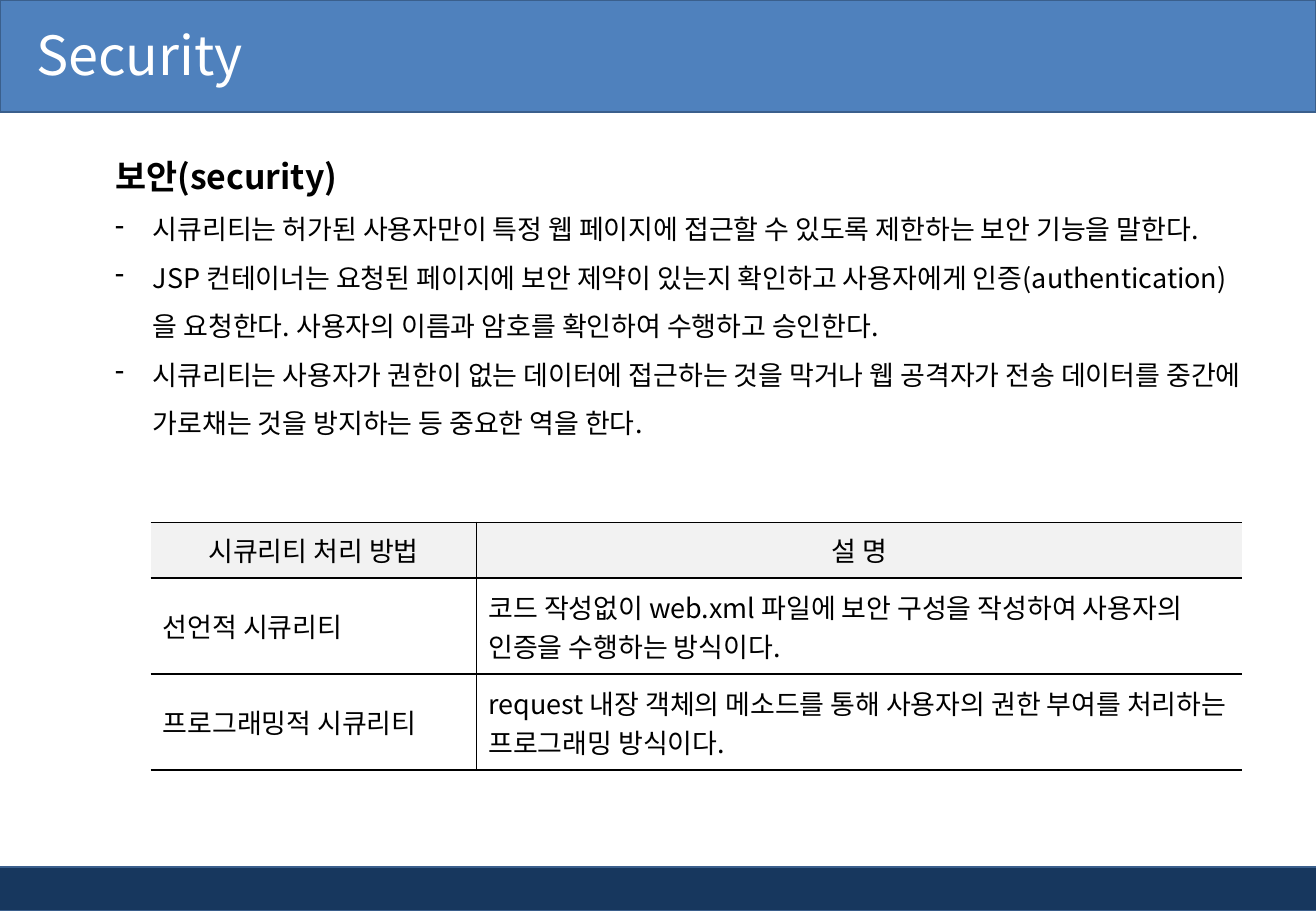
"""Build the Security slide: title bar, bulleted text, table and footer bar."""
import pptx
import pptx.dml.color
import pptx.enum.shapes
import pptx.enum.text
import pptx.oxml
import pptx.oxml.ns
import pptx.util
from lxml import etree

Inches = pptx.util.Inches
Pt = pptx.util.Pt
ALIGN = pptx.enum.text.PP_ALIGN
ANCHOR = pptx.enum.text.MSO_ANCHOR
qn = pptx.oxml.ns.qn

FONT = "Noto Sans CJK KR"
BLACK = "000000"
TITLE = "Security"
HEADING = "보안(security)"
BULLETS = [
    "시큐리티는 허가된 사용자만이 특정 웹 페이지에 접근할 수 있도록 제한하는 보안 기능을 말한다.",
    "JSP 컨테이너는 요청된 페이지에 보안 제약이 있는지 확인하고 사용자에게 인증(authentication)을 요청한다. "
    "사용자의 이름과 암호를 확인하여 수행하고 승인한다.",
    "시큐리티는 사용자가 권한이 없는 데이터에 접근하는 것을 막거나 웹 공격자가 전송 데이터를 "
    "중간에 가로채는 것을 방지하는 등 중요한 역을 한다.",
]
TABLE = [
    ("시큐리티 처리 방법", "설 명"),
    ("선언적 시큐리티", "코드 작성없이 web.xml 파일에 보안 구성을 작성하여 사용자의 인증을 수행하는 방식이다."),
    ("프로그래밍적 시큐리티", "request 내장 객체의 메소드를 통해 사용자의 권한 부여를 처리하는 프로그래밍 방식이다."),
]
COLUMN_WIDTHS = (2.68, 6.3)
ROW_HEIGHTS = (0.46, 0.79, 0.79)
BARS = [((-0.04, 7.14, 10.88, 0.36), "17375E"), ((0, 0, 10.83, 0.92), "4F81BD")]


def rgb(value):
    return pptx.dml.color.RGBColor.from_string(value)


def box(values):
    return [Inches(value) for value in values]


def write(paragraph, text, size, color=BLACK, bold=False):
    paragraph.text = text
    font = paragraph.font
    font.size = Pt(size)
    font.bold = bold
    font.color.rgb = rgb(color)
    font.name = FONT
    etree.SubElement(font._element, qn("a:ea"), typeface=FONT)


def add_bar(slide, place, color):
    bar = slide.shapes.add_shape(pptx.enum.shapes.MSO_SHAPE.RECTANGLE, *box(place))
    bar.shadow.inherit = False
    bar.fill.solid()
    bar.fill.fore_color.rgb = rgb(color)
    bar.line.color.rgb = rgb("3A5F8C")
    bar.line.width = Pt(1)


def add_text_frame(slide, place, anchor):
    frame = slide.shapes.add_textbox(*box(place)).text_frame
    frame.word_wrap = True
    frame.vertical_anchor = anchor
    return frame


def add_dash(paragraph):
    properties = paragraph._p.get_or_add_pPr()
    properties.set("marL", str(Inches(0.31)))
    properties.set("indent", str(Inches(-0.31)))
    etree.SubElement(properties, qn("a:buFontTx"))
    etree.SubElement(properties, qn("a:buChar"), char="-")


def set_borders(cell, visible):
    properties = cell._tc.get_or_add_tcPr()
    for side in "LRTB":
        line = etree.SubElement(properties, qn(f"a:ln{side}"), w=str(Pt(1)))
        if side in visible:
            fill = etree.SubElement(line, qn("a:solidFill"))
            etree.SubElement(fill, qn("a:srgbClr"), val=BLACK)
        else:
            etree.SubElement(line, qn("a:noFill"))


def add_method_table(slide):
    place = (1.24, 4.3, sum(COLUMN_WIDTHS), sum(ROW_HEIGHTS))
    table = slide.shapes.add_table(len(TABLE), len(COLUMN_WIDTHS), *box(place)).table
    table.first_row = False
    table.horz_banding = False
    for column, width in zip(table.columns, COLUMN_WIDTHS):
        column.width = Inches(width)
    for row_index, texts in enumerate(TABLE):
        table.rows[row_index].height = Inches(ROW_HEIGHTS[row_index])
        for column_index, text in enumerate(texts):
            cell = table.cell(row_index, column_index)
            cell.vertical_anchor = ANCHOR.MIDDLE
            set_borders(cell, "TBL" if column_index else "TBR")
            paragraph = cell.text_frame.paragraphs[0]
            if row_index == 0:
                cell.fill.solid()
                cell.fill.fore_color.rgb = rgb("F2F2F2")
                paragraph.alignment = ALIGN.CENTER
            else:
                cell.fill.background()
            write(paragraph, text, 16)


def main():
    presentation = pptx.Presentation()
    presentation.slide_width, presentation.slide_height = box((10.83, 7.5))
    slide = presentation.slides.add_slide(presentation.slide_layouts[6])
    for place, color in BARS:
        add_bar(slide, place, color)

    title = add_text_frame(slide, (0.2, -0.03, 8.54, 0.94), ANCHOR.MIDDLE)
    write(title.paragraphs[0], TITLE, 32, "FFFFFF")

    body = add_text_frame(slide, (0.85, 1.07, 9.53, 3.03), ANCHOR.TOP)
    heading = body.paragraphs[0]
    heading.line_spacing = 1.5
    write(heading, HEADING, 20, bold=True)
    for text in BULLETS:
        paragraph = body.add_paragraph()
        paragraph.line_spacing = 1.5
        add_dash(paragraph)
        write(paragraph, text, 16)

    add_method_table(slide)
    presentation.save("out.pptx")


if __name__ == "__main__":
    main()
